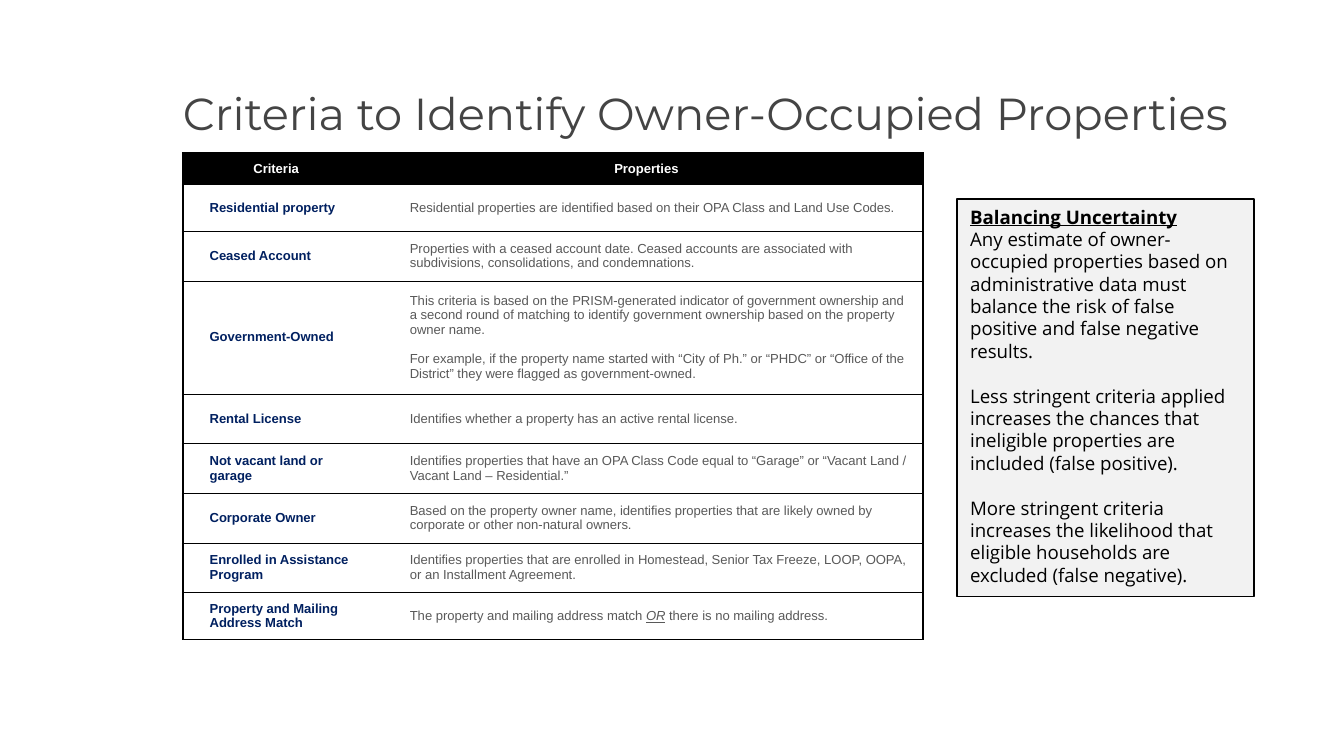
import pptx
import pptx.dml.color
import pptx.enum.shapes
import pptx.enum.text
import pptx.oxml
import pptx.oxml.ns
import pptx.util

Inches = pptx.util.Inches
Pt = pptx.util.Pt
ALIGN = pptx.enum.text.PP_ALIGN
ANCHOR = pptx.enum.text.MSO_ANCHOR
AUTO_SIZE = pptx.enum.text.MSO_AUTO_SIZE

TITLE = "Criteria to Identify Owner-Occupied Properties"
HEADER = ("Criteria", "Properties")
# Each row: height, criterion, paragraphs; a paragraph is a list of (text, emphasised)
ROWS = [
    (0.35, "Residential property",
     [[("Residential properties are identified based on their OPA Class and Land Use Codes.", False)]]),
    (0.37, "Ceased Account",
     [[("Properties with a ceased account date. Ceased accounts are associated with "
        "subdivisions, consolidations, and condemnations.", False)]]),
    (0.84, "Government-Owned",
     [[("This criteria is based on the PRISM-generated indicator of government ownership and "
        "a second round of matching to identify government ownership based on the property "
        "owner name.", False)],
      [("For example, if the property name started with “City of Ph.” or “PHDC” or “Office of the "
        "District” they were flagged as government-owned.", False)]]),
    (0.37, "Rental License",
     [[("Identifies whether a property has an active rental license.", False)]]),
    (0.37, "Not vacant land or garage",
     [[("Identifies properties that have an OPA Class Code equal to “Garage” or “Vacant Land / "
        "Vacant Land – Residential.”", False)]]),
    (0.37, "Corporate Owner",
     [[("Based on the property owner name, identifies properties that are likely owned by "
        "corporate or other non-natural owners.", False)]]),
    (0.37, "Enrolled in Assistance Program",
     [[("Identifies properties that are enrolled in Homestead, Senior Tax Freeze, LOOP, OOPA, "
        "or an Installment Agreement.", False)]]),
    (0.35, "Property and Mailing Address Match",
     [[("The property and mailing address match ", False), ("OR", True),
       (" there is no mailing address.", False)]]),
]
NOTE_HEADING = "Balancing Uncertainty"
NOTE_PARAGRAPHS = [
    "Any estimate of owner-occupied properties based on administrative data must "
    "balance the risk of false positive and false negative results.",
    "Less stringent criteria applied increases the chances that ineligible properties "
    "are included (false positive).",
    "More stringent criteria increases the likelihood that eligible households are "
    "excluded (false negative).",
]


def colour(value):
    return pptx.dml.color.RGBColor.from_string(value)


def write(para, text, *, size, font, ink, bold=False, italic=False, underline=False):
    """Add one formatted run to a paragraph."""
    span = para.add_run()
    span.text = text
    span.font.size = Pt(size)
    span.font.name = font
    span.font.color.rgb = colour(ink)
    span.font.bold = bold
    span.font.italic = italic
    span.font.underline = underline


def set_borders(cell, **widths):
    """Give a cell black borders by side; a width of 0 hides that side."""
    properties = cell._tc.get_or_add_tcPr()
    for index, side in enumerate("LRTB"):
        width = widths.get(side, 0)
        paint = '<a:solidFill><a:srgbClr val="000000"/></a:solidFill>' if width else "<a:noFill/>"
        properties.insert(index, pptx.oxml.parse_xml(
            f'<a:ln{side} {pptx.oxml.ns.nsdecls("a")} w="{Pt(width)}">{paint}</a:ln{side}>'))


class CriteriaSlide:
    title_style = dict(size=24, font="Montserrat", ink="444444")
    header_style = dict(size=7, font="Arial", ink="FFFFFF", bold=True)
    criterion_style = dict(size=7, font="Arial", ink="002060", bold=True)
    detail_style = dict(size=7, font="Arial", ink="595959")
    note_style = dict(size=10, font="Open Sans", ink="000000")
    outer, inner = 1, 0.25

    def __init__(self, deck):
        self.page = deck.slides.add_slide(deck.slide_layouts[5])

    def title(self, text, left, top, width, height):
        box = self.page.shapes.title
        box.left, box.top, box.width, box.height = map(Inches, (left, top, width, height))
        frame = box.text_frame
        frame.margin_left = frame.margin_right = Inches(0.1)
        frame.margin_top = frame.margin_bottom = Inches(0.1)
        frame.vertical_anchor = ANCHOR.MIDDLE
        frame.auto_size = AUTO_SIZE.NONE
        para = frame.paragraphs[0]
        para.alignment = ALIGN.LEFT
        write(para, text, **self.title_style)

    def cell(self, cell, paragraphs, style, indent, align=ALIGN.LEFT, fill=None):
        cell.vertical_anchor = ANCHOR.MIDDLE
        cell.margin_left = Inches(indent)
        if fill:
            cell.fill.solid()
            cell.fill.fore_color.rgb = colour(fill)
        else:
            cell.fill.background()
        frame = cell.text_frame
        for index, spans in enumerate(paragraphs):
            para = frame.add_paragraph() if index else frame.paragraphs[0]
            para.alignment = align
            if index:
                para.space_before = Pt(8)
            for text, emphasis in spans:
                write(para, text, italic=emphasis, underline=emphasis, **style)

    def table(self, left, top, columns, header_height):
        heights = [header_height] + [row[0] for row in ROWS]
        grid = self.page.shapes.add_table(
            len(heights), len(columns), Inches(left), Inches(top),
            Inches(sum(columns)), Inches(sum(heights))).table
        grid.first_row = grid.horz_banding = False
        for column, width in zip(grid.columns, columns):
            column.width = Inches(width)
        for row, height in zip(grid.rows, heights):
            row.height = Inches(height)

        # Header and body text
        for index, text in enumerate(HEADER):
            self.cell(grid.cell(0, index), [[(text, False)]], self.header_style, 0.1,
                      align=ALIGN.CENTER, fill="000000")
        for index, (_, criterion, details) in enumerate(ROWS, 1):
            self.cell(grid.cell(index, 0), [[(criterion, False)]], self.criterion_style, 0.2)
            self.cell(grid.cell(index, 1), details, self.detail_style, 0.3)

        # Heavy frame, thin rules between rows
        last = len(heights) - 1
        for index in range(len(heights)):
            rules = dict(T=self.inner if index else self.outer,
                         B=self.inner if index < last else self.outer)
            set_borders(grid.cell(index, 0), L=self.outer, **rules)
            set_borders(grid.cell(index, 1), R=self.outer, **rules)

    def note(self, heading, paragraphs, left, top, width, height):
        box = self.page.shapes.add_shape(
            pptx.enum.shapes.MSO_SHAPE.RECTANGLE, *map(Inches, (left, top, width, height)))
        box.shadow.inherit = False
        box.fill.solid()
        box.fill.fore_color.rgb = colour("F2F2F2")
        box.line.color.rgb = colour("000000")
        box.line.width = Pt(0.75)
        frame = box.text_frame
        frame.word_wrap = True
        frame.auto_size = AUTO_SIZE.SHAPE_TO_FIT_TEXT
        frame.vertical_anchor = ANCHOR.TOP
        for index, text in enumerate([heading] + paragraphs):
            para = frame.add_paragraph() if index else frame.paragraphs[0]
            para.alignment = ALIGN.LEFT
            para.line_spacing = Pt(12)
            if index > 1:
                para.space_before = Pt(12)
            write(para, text, bold=index == 0, underline=index == 0, **self.note_style)


def main():
    deck = pptx.Presentation()
    # Widescreen page, 16:9
    deck.slide_width = Inches(10)
    deck.slide_height = deck.slide_width * 9 // 16
    slide = CriteriaSlide(deck)
    slide.title(TITLE, 1.26, 0.54, 8.23, 0.6)
    slide.table(1.36, 1.14, columns=(1.39, 4.12), header_height=0.23)
    slide.note(NOTE_HEADING, NOTE_PARAGRAPHS, 7.12, 1.48, 2.21, 2.96)
    deck.save("out.pptx")


if __name__ == "__main__":
    main()
